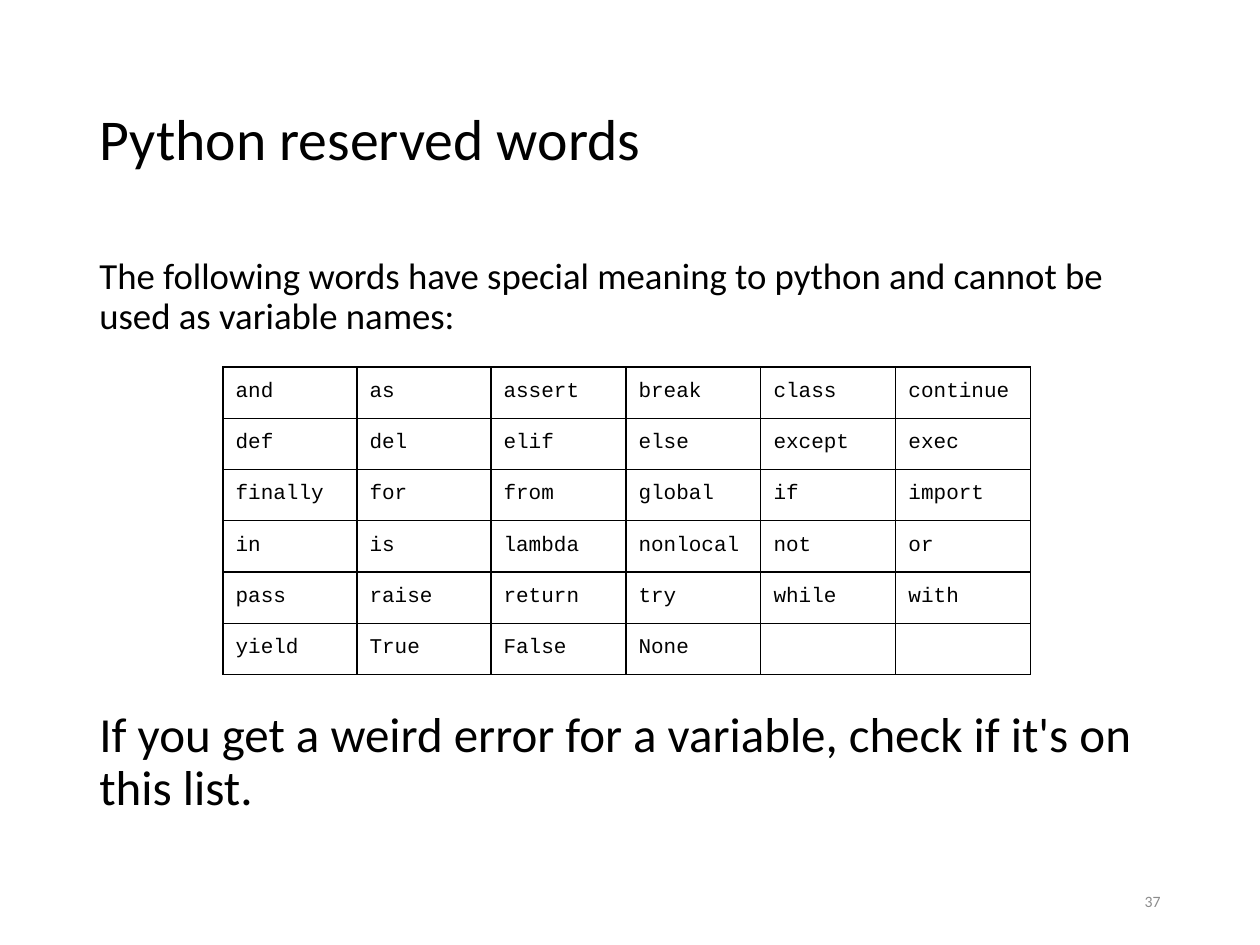
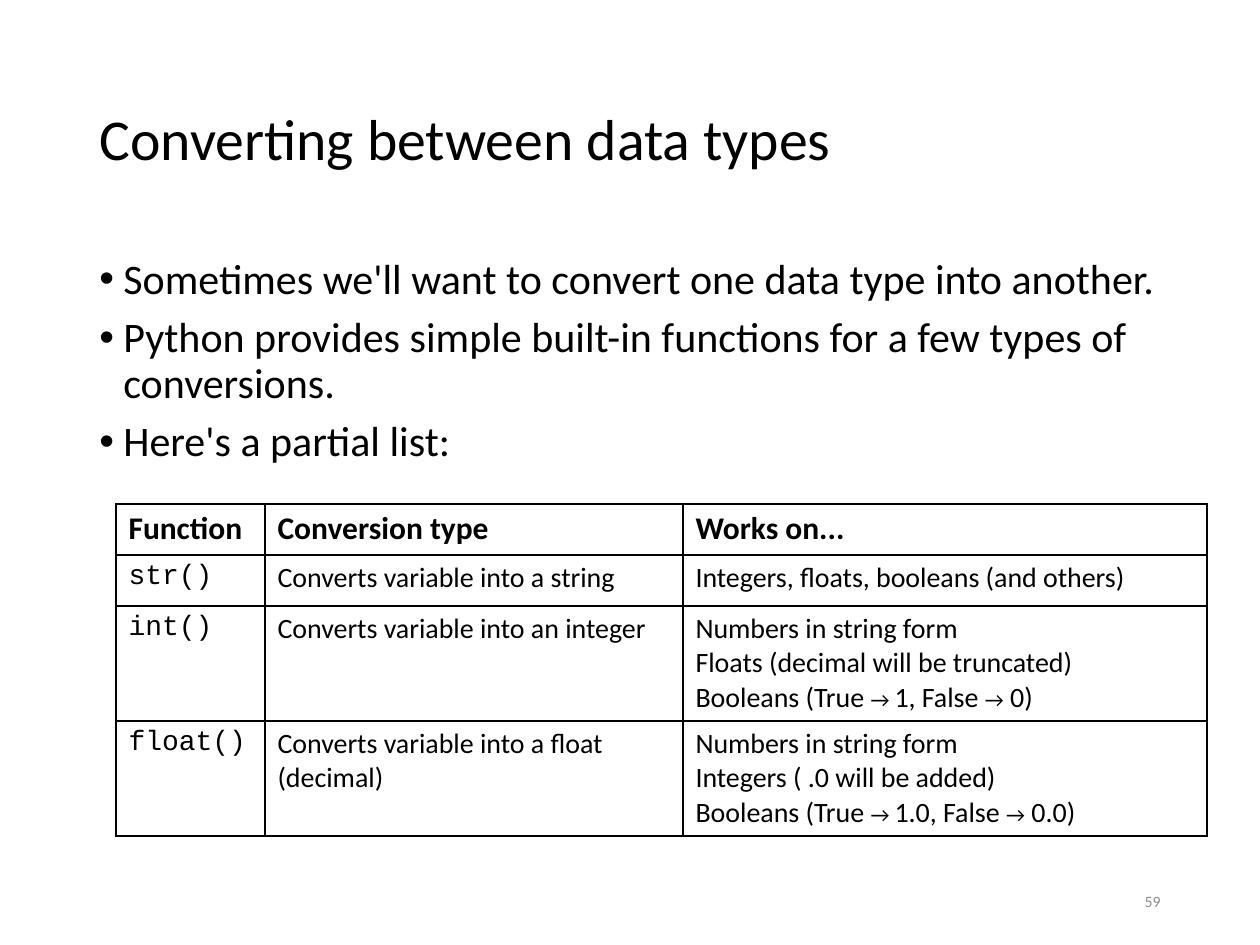
from lxml import etree
from pptx import Presentation
from pptx import util as u
from pptx.dml.color import RGBColor
from pptx.enum import text
from pptx.oxml import ns

# Shared look; all lengths are px at 126 to the inch
PX = 914400 / 126
COLORS = {"ink": "000000", "number": "8C8C8C"}
SANS, MONO = "Calibri", "Courier New"
TITLE_BOX = (87, 50, 1086, 183)
NUMBER_BOX = (890, 876, 283, 50)
BODY_LEFT, BODY_TOP, BODY_WIDTH = 87, 252, 1086
HANG = 24

# Content: in cell text, the parts between bars are set small
RESERVED = {
    "title": "Python reserved words",
    "number": "37",
    "intro": "The following words have special meaning to python and cannot be used as variable names:",
    "advice": "If you get a weird error for a variable, check if it's on this list.",
    "words": [
        "and as assert break class continue",
        "def del elif else except exec",
        "finally for from global if import",
        "in is lambda nonlocal not or",
        "pass raise return try while with",
        "yield True False None",
    ],
}
CONVERTING = {
    "title": "Converting between data types",
    "number": "59",
    "points": [
        "Sometimes we'll want to convert one data type into another.",
        "Python provides simple built-in functions for a few types of conversions.",
        "Here's a partial list:",
    ],
    "rows": [
        ("Function", "Conversion type", "Works on..."),
        ("str()", "Converts variable into a string", "Integers, floats, booleans (and others)"),
        ("int()", "Converts variable into an integer",
         "Numbers in string form\nFloats (decimal will be truncated)\n"
         "Booleans (True |→ |1, False |→| 0)"),
        ("float()", "Converts variable into a float (decimal)",
         "Numbers in string form\nIntegers ( .0 will be added)\n"
         "Booleans (True |→ |1.0, False |→| 0.0)"),
    ],
}


def px(n):
    return u.Emu(round(n * PX))


def write(tf, content, size=16, font=SANS, color="ink", bold=False, align=None,
          line=None, gap=0, bullet=False, small=12):
    for i, row in enumerate(content.split("\n")):
        p = tf.add_paragraph() if i else tf.paragraphs[0]
        if bullet:
            pPr = p._p.get_or_add_pPr()
            pPr.set("marL", str(px(HANG)))
            pPr.set("indent", str(-px(HANG)))
            etree.SubElement(pPr, ns.qn("a:buFont"), typeface="Arial")
            etree.SubElement(pPr, ns.qn("a:buChar"), char="•")
        p.alignment = align
        if line:
            p.line_spacing = line
        if i and gap:
            p.space_before = u.Pt(gap)
        if not row:  # keeps an empty cell as low as its neighbours
            etree.SubElement(p._p, ns.qn("a:endParaRPr"), sz=str(size * 100))
            continue
        for k, part in enumerate(row.split("|")):
            r = p.add_run()
            r.text = part
            r.font.name, r.font.bold = font, bold
            r.font.size = u.Pt(small if k % 2 else size)
            r.font.color.rgb = RGBColor.from_string(COLORS[color])


def add_text(s, box, content, anchor=text.MSO_ANCHOR.TOP, **fmt):
    tf = s.shapes.add_textbox(*map(px, box)).text_frame
    tf.word_wrap = True
    tf.vertical_anchor = anchor
    write(tf, content, **fmt)


def add_slide(prs, data):
    s = prs.slides.add_slide(prs.slide_layouts[5])
    title = s.shapes.title
    title.left, title.top, title.width, title.height = map(px, TITLE_BOX)
    tf = title.text_frame
    tf.auto_size = text.MSO_AUTO_SIZE.NONE
    tf.vertical_anchor = text.MSO_ANCHOR.MIDDLE
    write(tf, data["title"], size=33, align=text.PP_ALIGN.LEFT, line=0.9)
    add_text(s, NUMBER_BOX, data["number"], anchor=text.MSO_ANCHOR.MIDDLE,
             size=9, color="number", align=text.PP_ALIGN.RIGHT)
    return s


def add_borders(cell, width):
    tcPr = cell._tc.get_or_add_tcPr()
    for side in ("lnL", "lnR", "lnT", "lnB"):
        ln = etree.SubElement(tcPr, ns.qn("a:" + side), w=str(u.Pt(width)))
        fill = etree.SubElement(ln, ns.qn("a:solidFill"))
        etree.SubElement(fill, ns.qn("a:srgbClr"), val=COLORS["ink"])


def add_grid(s, left, top, cols, heights, rows, cell_format, border, margin=6):
    box = map(px, (left, top, sum(cols), sum(heights)))
    table = s.shapes.add_table(len(rows), len(cols), *box).table
    table.first_row = table.horz_banding = False
    for column, width in zip(table.columns, cols):
        column.width = px(width)
    for i, row in enumerate(rows):
        table.rows[i].height = px(heights[i])
        for j in range(len(cols)):
            cell = table.cell(i, j)
            cell.margin_top = cell.margin_bottom = px(margin)
            add_borders(cell, border)
            cell.fill.background()
            write(cell.text_frame, row[j] if j < len(row) else "", **cell_format(i, j))


def conversion_format(i, j):
    if i == 0:
        return {"size": 18, "bold": True}
    return {"font": SANS if j else MONO}


def main():
    prs = Presentation()
    prs.slide_width, prs.slide_height = px(1260), px(945)

    # Reserved words: intro, word grid, advice
    s = add_slide(prs, RESERVED)
    add_text(s, (BODY_LEFT, BODY_TOP, BODY_WIDTH, 95), RESERVED["intro"], size=21, line=0.9)
    words = [row.split() for row in RESERVED["words"]]
    add_grid(s, 223, 367, [134] * 2 + [135] * 4, [50] * len(words), words,
             lambda i, j: {"size": 12, "font": MONO}, border=0.75, margin=13)
    add_text(s, (BODY_LEFT, 704, BODY_WIDTH, 122), RESERVED["advice"], size=28, line=0.9)

    # Type conversion: bullets and function table
    s = add_slide(prs, CONVERTING)
    add_text(s, (BODY_LEFT, BODY_TOP, BODY_WIDTH, 230), "\n".join(CONVERTING["points"]),
             size=24, line=0.9, gap=7.5, bullet=True)
    add_grid(s, 116, 504, [149, 418, 524], [51, 51, 115, 115], CONVERTING["rows"],
             conversion_format, border=1)

    prs.save("out.pptx")


if __name__ == "__main__":
    main()
